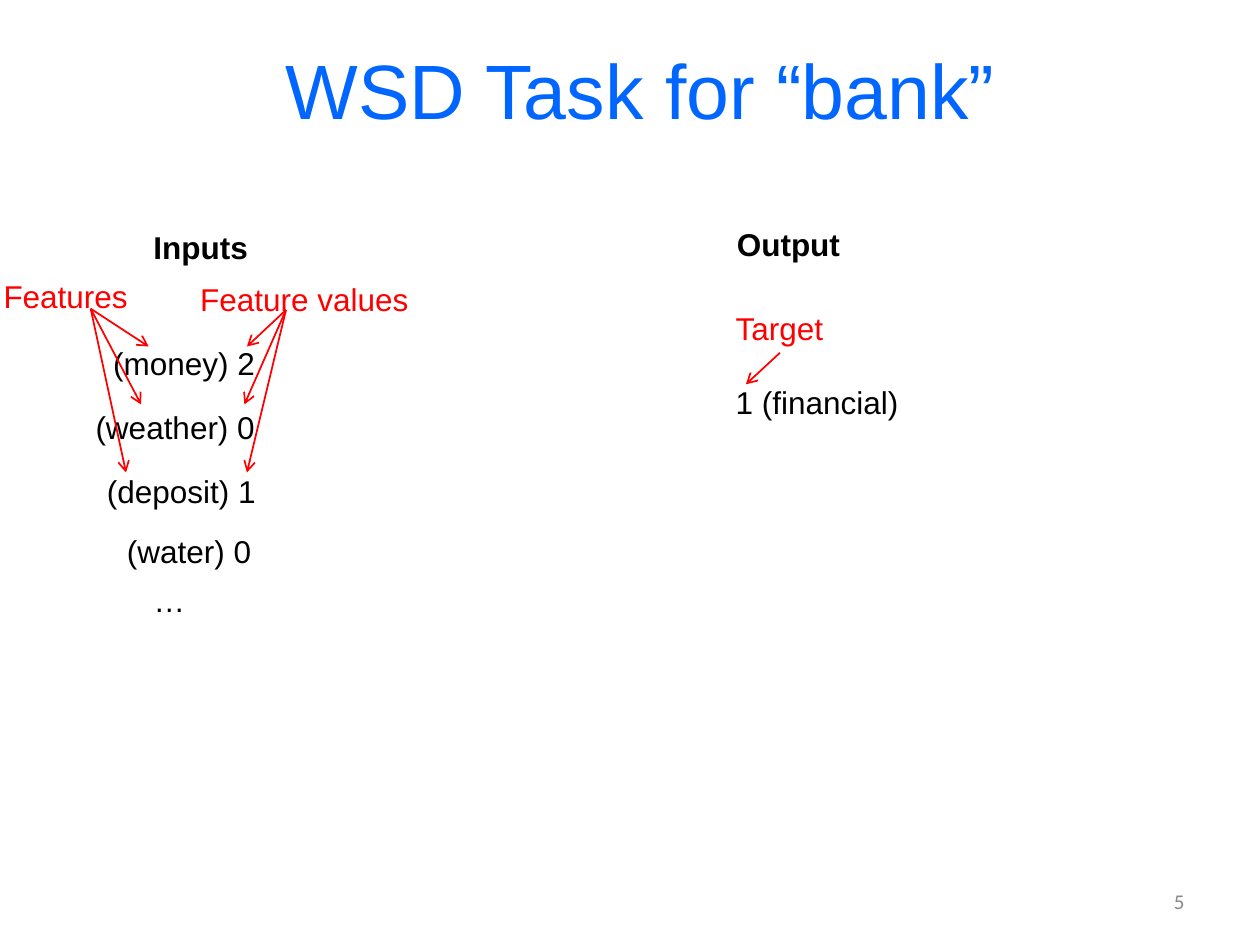
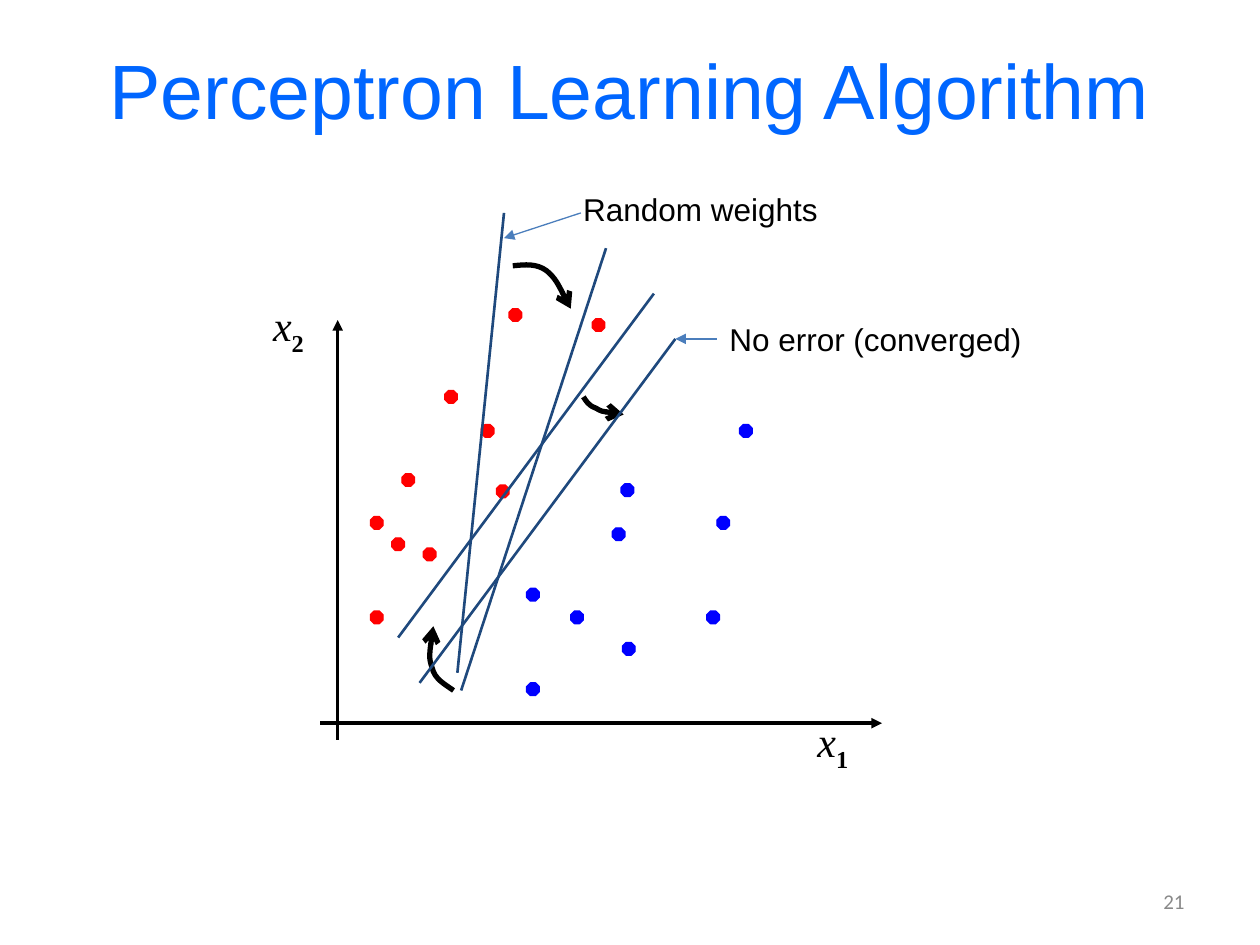
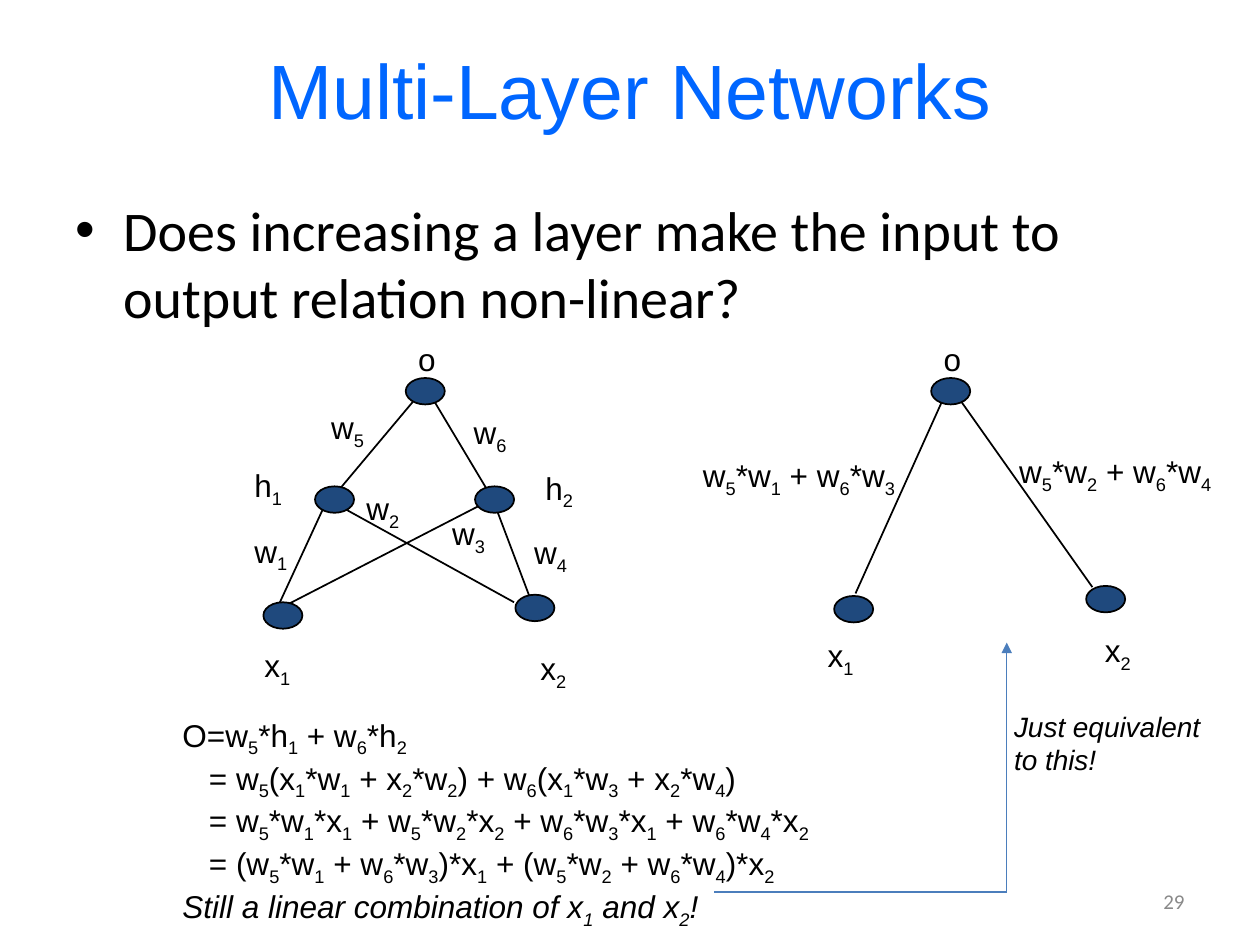
from dataclasses import dataclass

from lxml.etree import SubElement
from pptx import Presentation
from pptx.dml.color import RGBColor
from pptx.enum.shapes import MSO_CONNECTOR as Connector, MSO_SHAPE as Shape
from pptx.enum.text import MSO_ANCHOR as Anchor, MSO_AUTO_SIZE as AutoSize, PP_ALIGN as Align
from pptx.oxml.ns import qn
from pptx.util import Inches, Pt


@dataclass(frozen=True)
class Theme:
    title_color: str = "0066FF"
    ink: str = "000000"
    red: str = "FF0000"
    blue: str = "0000FF"
    navy: str = "1F497D"
    pointer: str = "4B7EBC"
    gray: str = "898989"
    sans: str = "Arial"
    body: str = "Calibri"
    serif: str = "Times New Roman"
    title_size: int = 44
    body_size: int = 32
    axis_size: int = 24
    label_size: int = 18
    note_size: int = 16
    footer_size: int = 12


THEME = Theme()
LABEL_HEIGHT = 0.4
BOTTOM, LEFT = 2, 1


def write_text(para, text, size=THEME.label_size, font=THEME.sans, color=THEME.ink,
               bold=False, italic=False, align=Align.LEFT, strong_sub=False, indent=0):
    """Fill a paragraph; the character after each underscore is set as a subscript."""
    para.alignment = align
    if indent:
        para._p.get_or_add_pPr().set("marL", str(Inches(indent)))
    head, *tails = text.split("_")
    pieces = [(head, False)]
    for tail in tails:
        pieces += [(tail[0], True), (tail[1:], False)]
    for piece, lowered in pieces:
        if not piece:
            continue
        span = para.add_run()
        span.text = piece
        span.font.name, span.font.size = font, Pt(size)
        span.font.color.rgb = RGBColor.from_string(color)
        span.font.bold = bold or (lowered and strong_sub)
        span.font.italic = italic and not (lowered and strong_sub)
        if lowered:
            span._r.get_or_add_rPr().set("baseline", "-25000")


class Deck:
    """Holds the theme and the current slide, and draws each kind of element."""

    def __init__(self, theme):
        self.theme = theme
        self.deck = Presentation()
        self.deck.slide_width, self.deck.slide_height = Inches(10), Inches(7.5)
        self.page = None

    def new_page(self, title, number, left=0.5, width=9):
        theme = self.theme
        self.page = self.deck.slides.add_slide(self.deck.slide_layouts[6])
        self.text(title, left, 0.08, width, 1.25, anchor=Anchor.MIDDLE, align=Align.CENTER,
                  size=theme.title_size, color=theme.title_color)
        self.text(str(number), 7.17, 6.95, 2.33, 0.4, anchor=Anchor.MIDDLE, align=Align.RIGHT,
                  size=theme.footer_size, font=theme.body, color=theme.gray)

    def text(self, text, left, top, width, height, wrap=True, anchor=Anchor.TOP, **style):
        box = self.page.shapes.add_textbox(*map(Inches, (left, top, width, height)))
        frame = box.text_frame
        frame.word_wrap, frame.vertical_anchor = wrap, anchor
        for index, line in enumerate(text.split("\n")):
            para = frame.add_paragraph() if index else frame.paragraphs[0]
            write_text(para, line, **style)
        return box

    def label(self, text, left, top, width, height=LABEL_HEIGHT, wrap=False, **style):
        box = self.text(text, left, top, width, height, wrap, **style)
        box.text_frame.auto_size = AutoSize.SHAPE_TO_FIT_TEXT
        return box

    def bullet(self, text, left, top, width, height):
        theme = self.theme
        box = self.text(text, left, top, width, height, size=theme.body_size, font=theme.body)
        para = box.text_frame.paragraphs[0]
        para.space_before = Pt(theme.body_size * 0.2)
        properties = para._p.get_or_add_pPr()
        properties.set("marL", str(Inches(0.38)))
        properties.set("indent", str(Inches(-0.38)))
        SubElement(properties, qn("a:buFont")).set("typeface", theme.sans)
        SubElement(properties, qn("a:buChar")).set("char", "•")

    def stroke(self, shape, color, width, arrow=None):
        shape.line.color.rgb = RGBColor.from_string(color)
        shape.line.width = Pt(width)
        if arrow:
            SubElement(shape.line._get_or_add_ln(), qn("a:tailEnd")).set("type", arrow)

    def line(self, start, end, color=THEME.ink, width=1, arrow=None, source=None, side=None):
        link = self.page.shapes.add_connector(Connector.STRAIGHT, *map(Inches, (*start, *end)))
        if source is not None:
            link.begin_connect(source, side)
        self.stroke(link, color, width, arrow)
        SubElement(link._element.spPr, qn("a:effectLst"))

    def marker(self, kind, left, top, width, height, fill, outline, line_width):
        shape = self.page.shapes.add_shape(kind, *map(Inches, (left, top, width, height)))
        shape.shadow.inherit = False
        shape.fill.solid()
        shape.fill.fore_color.rgb = RGBColor.from_string(fill)
        self.stroke(shape, outline, line_width)

    def dot(self, left, top, color):
        self.marker(Shape.OCTAGON, left, top, 0.1, 0.1, color, color, 0.75)

    def node(self, left, top):
        self.marker(Shape.OVAL, left, top, 0.31, 0.21, self.theme.navy, self.theme.ink, 1)

    def curve(self, start, *controls):
        builder = self.page.shapes.build_freeform(*map(Inches, start))
        builder.add_line_segments([tuple(map(Inches, point)) for point in controls], close=False)
        shape = builder.convert_to_shape()
        shape.shadow.inherit = False
        shape.fill.background()
        outline = next(shape._element.iter(qn("a:path")))
        segments = outline.findall(qn("a:lnTo"))
        for first in range(0, len(segments), 3):
            bezier = SubElement(outline, qn("a:cubicBezTo"))
            for segment in segments[first:first + 3]:
                bezier.append(segment[0])
                outline.remove(segment)
        self.stroke(shape, self.theme.ink, 3, "arrow")


def draw_word_sense_task(deck):
    red = deck.theme.red
    deck.new_page("WSD Task for “bank”", 5, left=-0.08, width=10.33)
    for text, left, top, width in (
        ("(money) 2", 0.8, 2.68, 1.34),
        ("(deposit) 1", 0.75, 3.7, 1.39),
        ("(weather) 0", 0.66, 3.19, 1.48),
        ("…", 1.12, 4.56, 0.45),
        ("1 (financial)", 5.74, 2.99, 1.51),
        ("(water) 0", 0.91, 4.17, 1.2),
    ):
        deck.label(text, left, top, width)
    deck.label("Inputs", 1.12, 1.76, 0.96, bold=True)
    deck.label("Output", 5.75, 1.74, 1.03, bold=True)
    deck.label("Features", -0.07, 2.15, 1.2, color=red)
    deck.label("Feature values", 1.49, 2.17, 1.87, color=red)
    target = deck.label("Target", 5.74, 2.4, 0.9, color=red)
    fans = {
        (0.72, 2.45): ((1.12, 3.21), (1, 3.75), (1.18, 2.75)),
        (2.27, 2.46): ((1.94, 3.21), (1.96, 3.75), (1.96, 2.75)),
    }
    for start, ends in fans.items():
        for end in ends:
            deck.line(start, end, red, arrow="arrow")
    deck.line((6.19, 2.8), (5.92, 3.05), red, arrow="arrow", source=target, side=BOTTOM)


def draw_perceptron_learning(deck):
    theme = deck.theme
    deck.new_page("Perceptron Learning Algorithm", 21)
    for start, end in (((2.68, 5.87), (2.68, 2.54)), ((2.54, 5.74), (7, 5.74))):
        deck.line(start, end, width=2, arrow="triangle")
    classes = {
        theme.red: ((3.82, 3.37), (3.19, 3.76), (3.36, 4.35), (2.94, 4.85), (3.53, 3.1),
                    (2.94, 4.1), (3.11, 4.27), (3.94, 3.85), (4.04, 2.45), (4.7, 2.53)),
        theme.blue: ((4.93, 3.84), (4.53, 4.85), (5.61, 4.85), (4.18, 5.42), (4.86, 4.19),
                     (4.18, 4.67), (4.94, 5.1), (5.69, 4.1), (5.87, 3.37)),
    }
    for color, dots in classes.items():
        for left, top in dots:
            deck.dot(left, top, color)
    for text, left, top in (("x_2", 2.06, 2.33), ("x_1", 6.38, 5.63)):
        deck.label(text, left, top, 0.46, 0.51, size=theme.axis_size, font=theme.serif,
                   italic=True, strong_sub=True, align=Align.CENTER)
    deck.curve((4.07, 2.11), (4.17, 2.1), (4.26, 2.09), (4.34, 2.15),
               (4.41, 2.21), (4.47, 2.33), (4.53, 2.45))
    deck.curve((3.6, 5.48), (3.53, 5.43), (3.45, 5.39), (3.43, 5.3),
               (3.4, 5.22), (3.42, 5.09), (3.44, 4.97))
    deck.curve((4.63, 3.15), (4.65, 3.18), (4.67, 3.22), (4.73, 3.24),
               (4.78, 3.27), (4.86, 3.28), (4.95, 3.29))
    for start, end in (
        ((3.63, 5.34), (4, 1.69)),
        ((3.66, 5.48), (4.81, 1.97)),
        ((3.16, 5.06), (5.19, 2.33)),
        ((3.33, 5.42), (5.36, 2.69)),
    ):
        deck.line(start, end, theme.navy, 1.5)
    deck.label("Random weights", 4.53, 1.46, 2.08)
    deck.line((4.61, 1.69), (4, 1.89), theme.pointer, 0.75, "triangle")
    converged = deck.label("No error (converged)", 5.69, 2.49, 2.54)
    deck.line((5.69, 2.69), (5.36, 2.69), theme.pointer, 0.75, "triangle", converged, LEFT)


def draw_network(deck, edges, nodes, labels):
    for start, end in edges:
        deck.line(start, end)
    for left, top in nodes:
        deck.node(left, top)
    for text, left, top, width, wrap in labels:
        deck.label(text, left, top, width, wrap=wrap)


def draw_multi_layer_networks(deck):
    theme = deck.theme
    deck.new_page("Multi-Layer Networks", 29)
    deck.bullet("Does increasing a layer make the input to output relation non-linear?",
                0.5, 1.5, 9, 5.67)
    draw_network(
        deck,
        edges=(
            ((2.6, 3.96), (2.18, 4.87)), ((2.63, 3.98), (4.08, 4.78)),
            ((3.87, 3.98), (2.18, 4.85)), ((3.91, 3.96), (4.22, 4.78)),
            ((3.36, 3.09), (2.63, 3.96)), ((3.39, 3.09), (3.91, 3.96)),
        ),
        nodes=((2.09, 4.78), (4.09, 4.72), (2.5, 3.86), (3.77, 3.86), (3.22, 3)),
        labels=(
            ("x_1", 2, 5.08, 0.42, False), ("x_2", 4.19, 5.1, 0.42, False),
            ("h_1", 1.92, 3.65, 0.44, False), ("h_2", 4.23, 3.67, 0.44, False),
            ("o", 3.22, 2.65, 0.34, False), ("w_1", 1.92, 4.17, 0.48, False),
            ("w_2", 2.81, 3.83, 0.48, False), ("w_3", 3.49, 4.03, 0.48, False),
            ("w_4", 4.14, 4.18, 0.59, True), ("w_5", 2.53, 3.19, 0.59, True),
            ("w_6", 3.66, 3.23, 0.59, True),
        ),
    )
    draw_network(
        deck,
        edges=(((7.52, 3.09), (6.79, 4.71)), ((7.56, 3.09), (8.67, 4.66))),
        nodes=((6.62, 4.73), (8.62, 4.65), (7.39, 3)),
        labels=(
            ("w_5*w_1 + w_6*w_3", 5.48, 3.57, 2.08, True),
            ("w_5*w_2 + w_6*w_4", 7.99, 3.54, 1.78, True),
            ("x_1", 6.47, 5, 0.42, False), ("x_2", 8.67, 4.96, 0.42, False),
            ("o", 7.39, 2.65, 0.34, False),
        ),
    )
    derivation = deck.label("O=w_5*h_1 + w_6*h_2", 1.35, 5.63, 5.44, 1.62)
    for step in (
        "= w_5(x_1*w_1 + x_2*w_2) + w_6(x_1*w_3 + x_2*w_4)",
        "= w_5*w_1*x_1 + w_5*w_2*x_2 + w_6*w_3*x_1 + w_6*w_4*x_2",
        "= (w_5*w_1 + w_6*w_3)*x_1 + (w_5*w_2 + w_6*w_4)*x_2",
    ):
        write_text(derivation.text_frame.add_paragraph(), step, indent=0.21)
    write_text(derivation.text_frame.add_paragraph(),
               "Still a linear combination of x_1 and x_2!", italic=True)
    corner = (7.99, 7.08)
    deck.line((5.67, 7.08), corner, theme.pointer, 0.75)
    deck.line(corner, (7.99, 5.1), theme.pointer, 0.75, "triangle")
    deck.label("Just equivalent\nto this!", 7.95, 5.58, 1.76, 0.64,
               size=theme.note_size, italic=True)


def main():
    deck = Deck(THEME)
    draw_word_sense_task(deck)
    draw_perceptron_learning(deck)
    draw_multi_layer_networks(deck)
    deck.deck.save("out.pptx")


if __name__ == "__main__":
    main()
